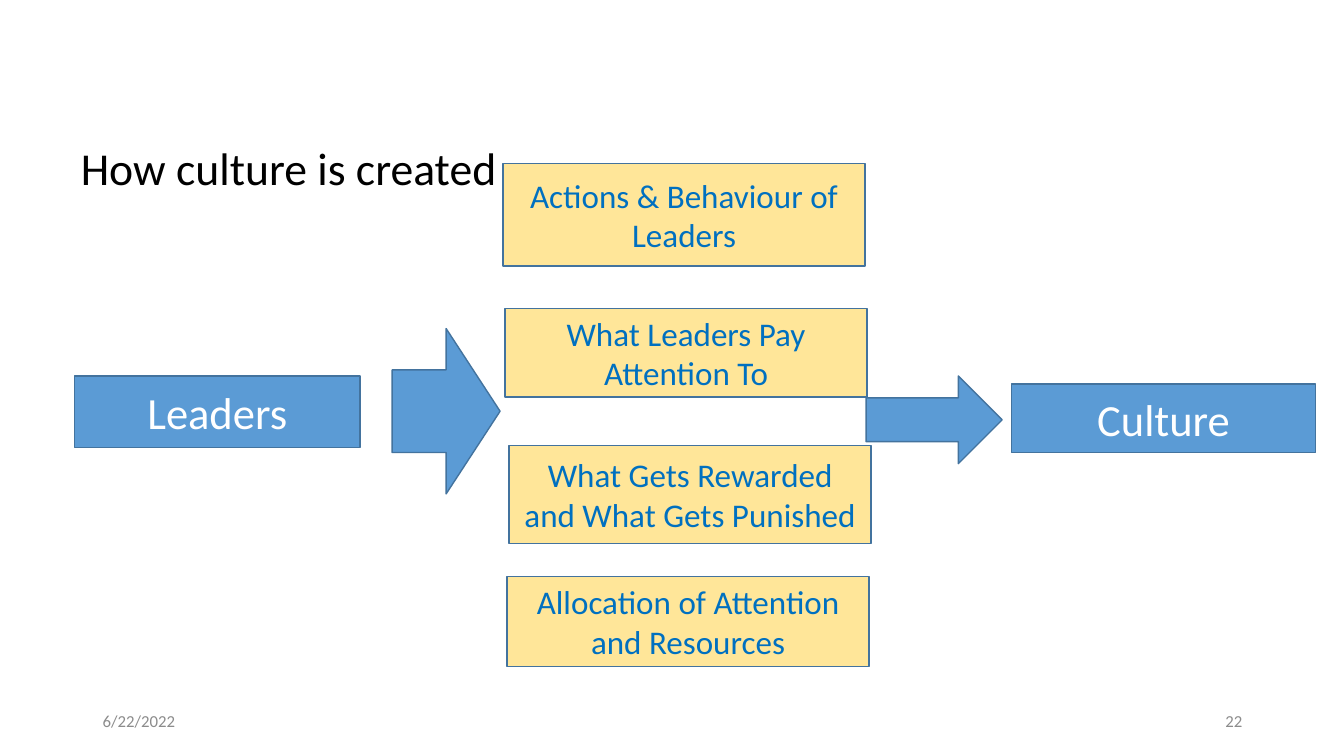
from pptx import Presentation
from pptx.dml.color import RGBColor
from pptx.enum.shapes import MSO_SHAPE as Shape
from pptx.enum.text import MSO_ANCHOR as Anchor, PP_ALIGN as Align
from pptx.util import Inches, Pt


def color(hex_string):
    return RGBColor.from_string(hex_string)


def write(shape, text, size=12, font_color="000000", align=Align.CENTER, spacing=1.0):
    frame = shape.text_frame
    frame.word_wrap = True
    frame.vertical_anchor = Anchor.MIDDLE
    paragraph = frame.paragraphs[0]
    paragraph.text = text
    paragraph.alignment = align
    paragraph.line_spacing = spacing
    paragraph.font.name = "Calibri"
    paragraph.font.size = Pt(size)
    paragraph.font.color.rgb = color(font_color)


BLUE, YELLOW, OUTLINE = "5B9BD5", "FFE699", "43739E"
WHITE, TEXT_BLUE, GRAY = "FFFFFF", "0070C0", "8C8C8C"

presentation = Presentation()
presentation.slide_width = Inches(13.33)
presentation.slide_height = Inches(7.5)
slide = presentation.slides.add_slide(presentation.slide_layouts[6])

title = slide.shapes.add_textbox(Inches(0.45), Inches(1.33), Inches(4.83), Inches(0.72))
write(title, "How culture is created", size=32.6, spacing=0.9)

end_style = (BLUE, WHITE, 31.8)
driver_style = (YELLOW, TEXT_BLUE, 23.6)
boxes = [
    ("Leaders", 0.74, 3.73, 2.83, 0.71, end_style),
    ("Actions & Behaviour of Leaders", 4.99, 1.62, 3.59, 1.02, driver_style),
    ("What Leaders Pay Attention To", 5.01, 3.06, 3.59, 0.88, driver_style),
    ("What Gets Rewarded and What Gets Punished", 5.05, 4.42, 3.59, 0.97, driver_style),
    ("Allocation of Attention and Resources", 5.03, 5.72, 3.59, 0.89, driver_style),
    ("Culture", 10.03, 3.81, 3.02, 0.68, end_style),
]
arrows = [
    ("", 8.59, 3.73, 1.35, 0.87, end_style),
    ("", 3.89, 3.26, 1.07, 1.64, end_style),
]
for text, left, top, width, height, (fill, font_color, size) in boxes + arrows:
    kind = Shape.RECTANGLE if text else Shape.RIGHT_ARROW
    shape = slide.shapes.add_shape(kind, Inches(left), Inches(top), Inches(width), Inches(height))
    shape.shadow.inherit = False
    shape.fill.solid()
    shape.fill.fore_color.rgb = color(fill)
    shape.line.color.rgb = color(OUTLINE)
    shape.line.width = Pt(1)
    if text:
        write(shape, text, size=size, font_color=font_color)

for text, left, align in [("6/22/2022", 0.92, Align.LEFT), ("22", 9.42, Align.RIGHT)]:
    footer = slide.shapes.add_textbox(Inches(left), Inches(6.95), Inches(3), Inches(0.4))
    write(footer, text, font_color=GRAY, align=align)

presentation.save("out.pptx")
